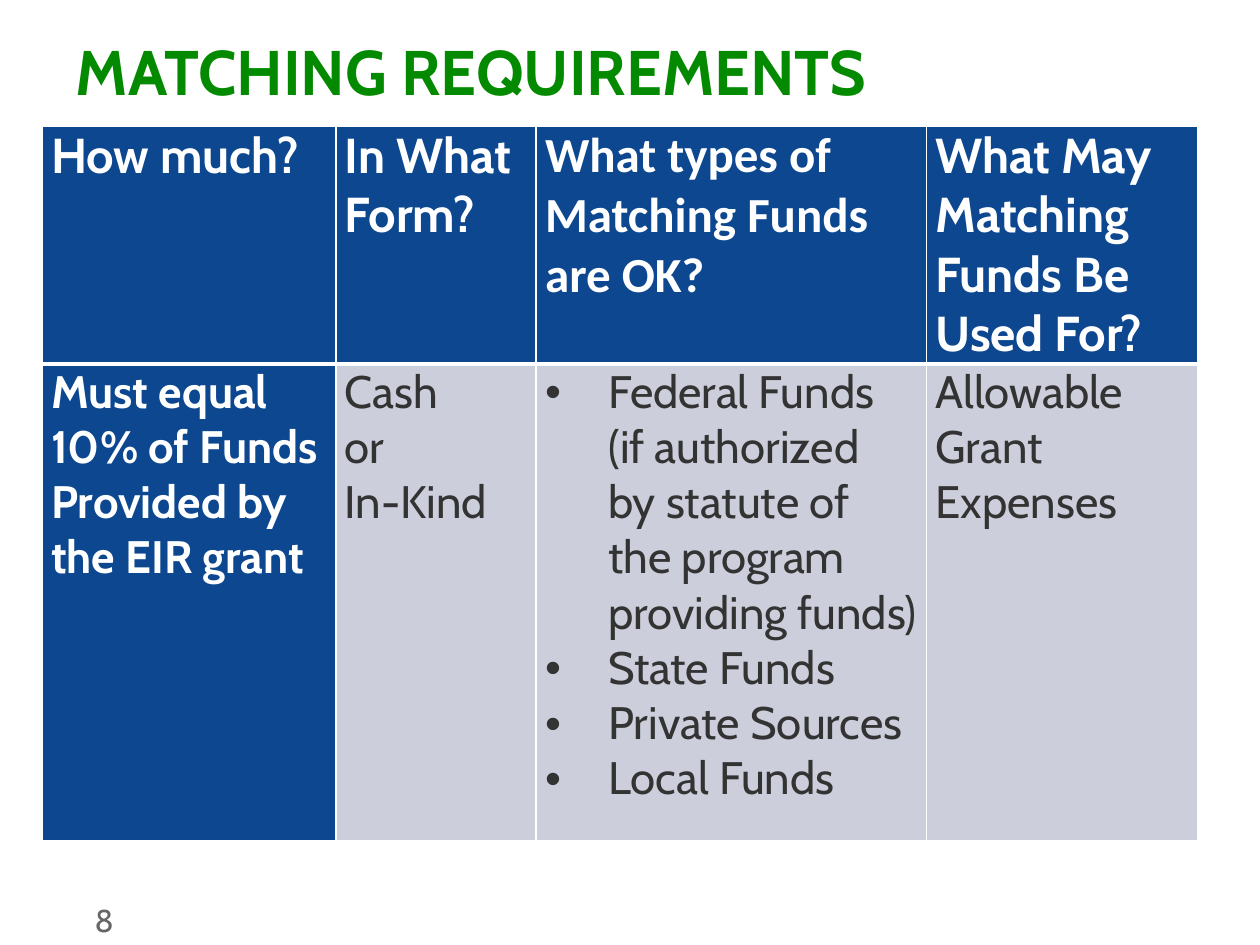
from lxml import etree
from pptx import Presentation
from pptx.dml.color import RGBColor
from pptx.enum.text import MSO_ANCHOR, PP_ALIGN
from pptx.oxml.ns import qn
from pptx.util import Cm, Pt

LEFT = PP_ALIGN.LEFT
MIDDLE = MSO_ANCHOR.MIDDLE
TITLE_ONLY = 5

GREEN = RGBColor(0x03, 0x8A, 0x00)
BLUE = RGBColor(0x0C, 0x47, 0x90)
PALE = RGBColor(0xCC, 0xCF, 0xDB)
WHITE = RGBColor(0xFF, 0xFF, 0xFF)
DARK = RGBColor(0x33, 0x33, 0x33)
GRAY = RGBColor(0x66, 0x66, 0x66)

COLUMN_WIDTHS = (5.92, 4.04, 7.87, 5.46)
ROW_HEIGHTS = (4.8, 9.6)
HEADERS = (
    ("How much?", "Cabin"),
    ("In What Form?", "Cabin"),
    ("What types of Matching Funds are OK?", "Calibri"),
    ("What May Matching Funds Be Used For?", "Cabin"),
)
REQUIREMENT = ["Must equal 10% of Funds Provided by the EIR grant"]
FORMS = ["Cash", "or", "In-Kind"]
FUND_TYPES = [
    "Federal Funds (if authorized by statute of the program providing funds)",
    "State Funds",
    "Private Sources",
    "Local Funds",
]
USES = ["Allowable Grant Expenses"]


def add_bullet(paragraph):
    properties = paragraph._p.get_or_add_pPr()
    properties.set("marL", str(Cm(1.27)))
    properties.set("indent", str(-Cm(1.27)))
    etree.SubElement(properties, qn("a:buFont"), typeface="Arial")
    etree.SubElement(properties, qn("a:buChar"), char="•")


def write_text(text_frame, lines, size, color, font="Cabin", bold=False, bulleted=False):
    for index, line in enumerate(lines):
        paragraph = text_frame.paragraphs[0] if index == 0 else text_frame.add_paragraph()
        paragraph.alignment = LEFT
        if bulleted:
            add_bullet(paragraph)
        run = paragraph.add_run()
        run.text = line
        run.font.size = Pt(size)
        run.font.name = font
        run.font.bold = bold
        run.font.color.rgb = color


def set_borders(cell, **widths):
    properties = cell._tc.get_or_add_tcPr()
    for index, side in enumerate(("lnL", "lnR", "lnT", "lnB")):
        line = etree.Element(qn(f"a:{side}"), w=str(Pt(widths.get(side, 1))))
        fill = etree.SubElement(line, qn("a:solidFill"))
        etree.SubElement(fill, qn("a:srgbClr"), val=str(WHITE))
        properties.insert(index, line)


def format_cell(cell, fill, **border_widths):
    cell.margin_left = cell.margin_right = Cm(0.18)
    cell.margin_top = cell.margin_bottom = 0
    cell.fill.solid()
    cell.fill.fore_color.rgb = fill
    set_borders(cell, **border_widths)


def add_title(slide, text):
    title = slide.shapes.title
    title.left, title.top, title.width, title.height = Cm(1.27), Cm(0.64), Cm(22.86), Cm(1.57)
    title.text_frame.vertical_anchor = MIDDLE
    write_text(title.text_frame, [text], 36, GREEN, bold=True)


def add_page_number(slide, text):
    box = slide.shapes.add_textbox(Cm(1.91), Cm(18.03), Cm(1.47), Cm(1.02))
    frame = box.text_frame
    frame.word_wrap = True
    frame.margin_left = frame.margin_right = 0
    frame.vertical_anchor = MIDDLE
    write_text(frame, [text], 18, GRAY)


def add_matching_table(slide):
    frame = slide.shapes.add_table(
        len(ROW_HEIGHTS), len(COLUMN_WIDTHS), Cm(0.85), Cm(2.54),
        Cm(sum(COLUMN_WIDTHS)), Cm(sum(ROW_HEIGHTS)))
    table = frame.table
    for column, width in zip(table.columns, COLUMN_WIDTHS):
        column.width = Cm(width)
    for row, height in zip(table.rows, ROW_HEIGHTS):
        row.height = Cm(height)

    # Header row, with a heavier rule below it
    for index, (text, font) in enumerate(HEADERS):
        cell = table.cell(0, index)
        format_cell(cell, BLUE, lnB=3)
        write_text(cell.text_frame, [text], 28, WHITE, font=font, bold=True)

    # Answers, the first one styled as a row heading
    for index, lines in enumerate((REQUIREMENT, FORMS, FUND_TYPES, USES)):
        cell = table.cell(1, index)
        heading = index == 0
        format_cell(cell, BLUE if heading else PALE, lnT=3)
        write_text(cell.text_frame, lines, 26, WHITE if heading else DARK,
                   bold=heading, bulleted=lines is FUND_TYPES)


def main():
    presentation = Presentation()
    presentation.slide_width, presentation.slide_height = Cm(25.4), Cm(19.05)
    slide = presentation.slides.add_slide(presentation.slide_layouts[TITLE_ONLY])
    add_title(slide, "MATCHING REQUIREMENTS")
    add_page_number(slide, "8")
    add_matching_table(slide)
    presentation.save("out.pptx")


if __name__ == "__main__":
    main()
